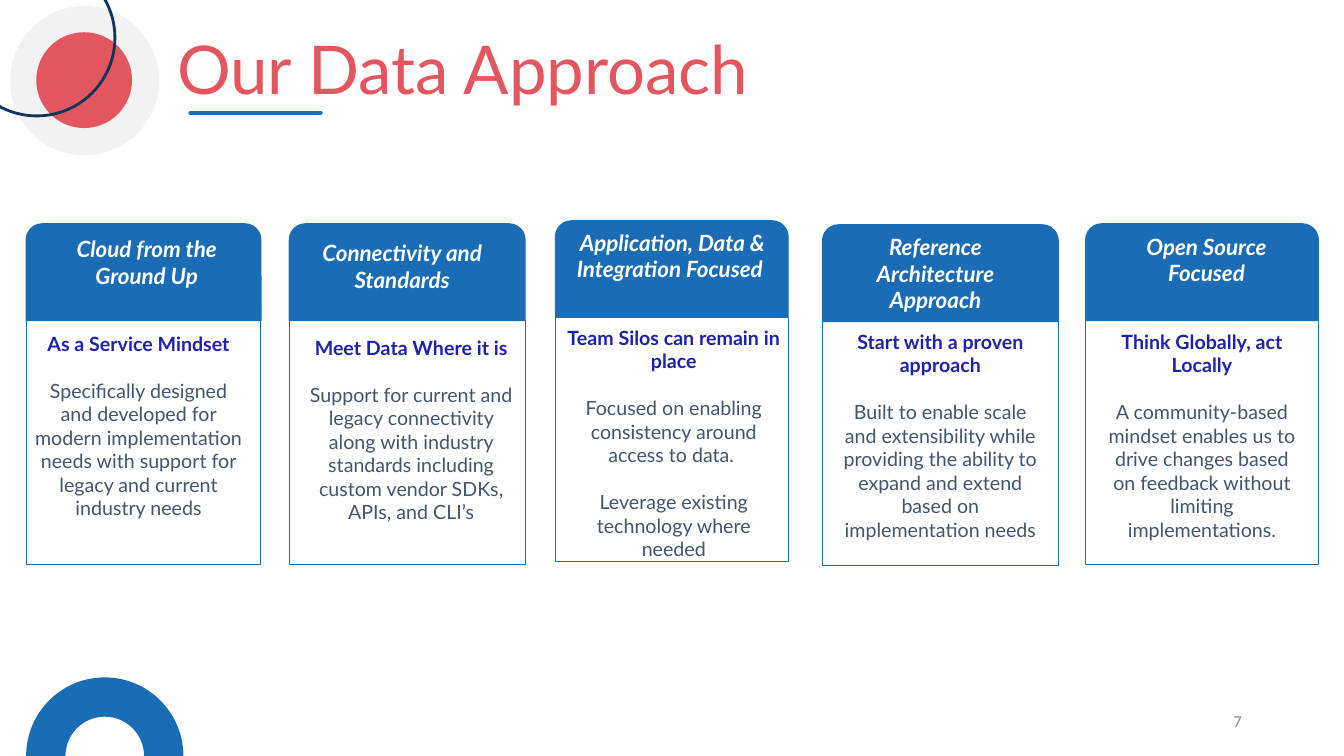
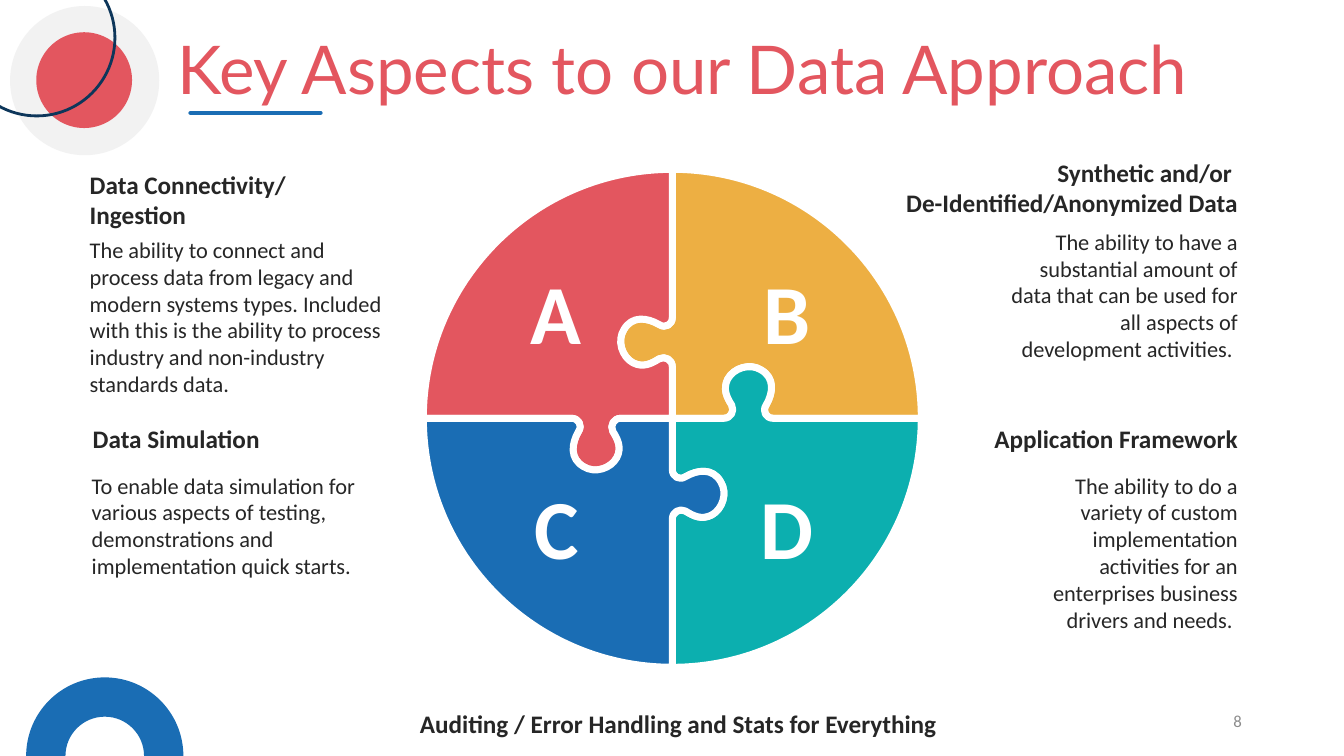
from dataclasses import dataclass
from math import cos, pi, sin
from typing import NamedTuple

from lxml.etree import SubElement
from pptx import Presentation
from pptx.dml.color import RGBColor
from pptx.enum.shapes import MSO_CONNECTOR, MSO_SHAPE
from pptx.enum.text import MSO_ANCHOR, PP_ALIGN
from pptx.oxml.ns import qn
from pptx.util import Inches, Pt

COLORS = {
    "blue": "1A6DB4", "red": "E3565F", "gold": "EDAF43", "teal": "0CAFAF",
    "navy": "0D365A", "pale": "F2F2F2", "white": "FFFFFF", "indigo": "1E22AA",
    "slate": "44546A", "ink": "262626", "gray": "8C8C8C",
}
STYLES = {
    "title": ({"name": "Lato", "size": Pt(48)}, "red"),
    "card heading": ({"name": "Lato", "size": Pt(16), "bold": True, "italic": True}, "white"),
    "card lead": ({"name": "Lato", "size": Pt(14), "bold": True}, "indigo"),
    "card body": ({"name": "Lato", "size": Pt(14)}, "slate"),
    "letter": ({"name": "Calibri", "size": Pt(60), "bold": True}, "white"),
    "aspect": ({"name": "Calibri", "size": Pt(18), "bold": True}, "ink"),
    "detail": ({"name": "Calibri", "size": Pt(16)}, "ink"),
    "page": ({"name": "Calibri", "size": Pt(12)}, "gray"),
}


class Box(NamedTuple):
    left: float
    top: float
    width: float
    height: float

    def lengths(self) -> list:
        return [Inches(value) for value in self]


class Point(NamedTuple):
    x: float
    y: float


class Line(NamedTuple):
    text: str
    style: str
    gap: float = 0


@dataclass
class Card:
    left: float
    top: float
    width: float
    heading: str
    heading_box: Box
    lead: str
    details: list[str]
    body_box: Box


@dataclass
class Seam:
    along: Point
    out: Point
    flipped: bool = False


@dataclass
class Piece:
    color: str
    first: int
    letter: str
    letter_at: Point


@dataclass
class Aspect:
    title: list[str]
    title_box: Box
    detail: str
    detail_box: Box
    align: PP_ALIGN


# Cards of the first slide
CARDS = [
    Card(0.26, 2.22, 2.33, "Cloud from the Ground Up", Box(0.65, 2.28, 1.61, 0.91),
         "As a Service Mindset",
         ["Specifically designed and developed for modern implementation needs "
          "with support for legacy and current industry needs"],
         Box(0.22, 3.24, 2.31, 1.99)),
    Card(2.87, 2.22, 2.34, "Connectivity and Standards", Box(3.07, 2.32, 1.84, 0.64),
         "Meet Data Where it is",
         ["Support for current and legacy connectivity along with industry "
          "standards including custom vendor SDKs, APIs, and CLI’s"],
         Box(2.95, 3.28, 2.26, 1.99)),
    Card(5.51, 2.19, 2.31, "Application, Data & Integration Focused ",
         Box(5.61, 2.22, 2.12, 0.91), "Team Silos can remain in place",
         ["Focused on enabling consistency around access to data. ",
          "Leverage existing technology where needed"],
         Box(5.48, 3.18, 2.41, 2.46)),
    Card(8.16, 2.23, 2.34, "Reference Architecture Approach", Box(8.49, 2.26, 1.58, 0.91),
         "Start with a proven approach",
         ["Built to enable scale and extensibility while providing the ability to "
          "expand and extend based on implementation needs"],
         Box(8.25, 3.22, 2.16, 2.22)),
    Card(10.77, 2.22, 2.31, "Open Source Focused", Box(11.01, 2.26, 1.92, 0.64),
         "Think Globally, act Locally",
         ["A community-based mindset enables us to drive changes based on feedback "
          "without limiting implementations."],
         Box(10.88, 3.22, 2.09, 2.22)),
]
CARD_HEAD, CARD_BODY = 0.96, 2.42

# Puzzle of the second slide: seams run north, east, south, west
CENTER, RADIUS = Point(6.67, 4.15), 2.47
SEAMS = [
    Seam(Point(0, -1), Point(-1, 0)),
    Seam(Point(1, 0), Point(0, -1)),
    Seam(Point(0, 1), Point(1, 0), flipped=True),
    Seam(Point(-1, 0), Point(0, 1)),
]
# Bezier knob: distance along the seam, distance out of it
KNOB_START, KNOB_END = 0.51, 1.0
KNOB = [
    (KNOB_START, 0), (0.58, 0), (0.62, 0.07), (0.59, 0.13),
    (0.54, 0.21), (0.5, 0.29), (0.55, 0.39), (0.61, 0.5), (0.77, 0.55), (0.88, 0.48),
    (1.02, 0.4), (1.0, 0.25), (0.93, 0.13), (0.89, 0.07), (0.93, 0), (KNOB_END, 0),
]
# Points used by each segment: 1 for a straight line, 3 for a curve
SEAM_STEPS = [1, 3, 3, 3, 3, 3, 1]
QUARTER_HANDLE = 0.5523
PIECES = [
    Piece("gold", 0, "B", Point(7.54, 2.77)),
    Piece("teal", 1, "D", Point(7.54, 4.91)),
    Piece("red", 3, "A", Point(5.25, 2.77)),
    Piece("blue", 2, "C", Point(5.25, 4.91)),
]
ASPECTS = [
    Aspect(["Data Connectivity/ Ingestion"], Box(0.89, 1.68, 2.51, 0.34),
           "The ability to connect and process data from legacy and modern systems types. "
           "Included with this is the ability to process industry and non-industry "
           "standards data.", Box(0.89, 2.34, 3.04, 0.71), PP_ALIGN.LEFT),
    Aspect(["Synthetic and/or ", "De-Identified/Anonymized Data"], Box(8.17, 1.56, 4.11, 0.32),
           "The ability to have a substantial amount of data that can be used for all "
           "aspects of development activities. ", Box(10.02, 2.26, 2.26, 0.71), PP_ALIGN.RIGHT),
    Aspect(["Data Simulation"], Box(0.92, 4.2, 2.26, 0.32),
           "To enable data simulation for various aspects of testing, demonstrations and "
           "implementation quick starts.", Box(0.91, 4.68, 2.63, 0.71), PP_ALIGN.LEFT),
    Aspect(["Application Framework"], Box(9.14, 4.2, 3.14, 0.32),
           "The ability to do a variety of custom implementation activities for an "
           "enterprises business drivers and needs. ", Box(10.24, 4.68, 2.04, 0.71),
           PP_ALIGN.RIGHT),
]


def rgb(name: str) -> RGBColor:
    return RGBColor.from_string(COLORS[name])


def paint(shape, fill: str = "", line: str = "", weight: float = 0) -> None:
    shape.shadow.inherit = False
    if fill:
        shape.fill.solid()
        shape.fill.fore_color.rgb = rgb(fill)
    else:
        shape.fill.background()
    if line:
        shape.line.color.rgb = rgb(line)
        shape.line.width = Pt(weight)
    else:
        shape.line.fill.background()


def add_preset(slide, kind, box: Box, **colors) -> None:
    paint(slide.shapes.add_shape(kind, *box.lengths()), **colors)


def add_outline(slide, points: list[Point], steps: list[int], **colors) -> None:
    corners = [(Inches(x), Inches(y)) for x, y in points]
    builder = slide.shapes.build_freeform(*corners[0], scale=1.0)
    builder.add_line_segments(corners[1:], close=True)
    shape = builder.convert_to_shape()
    # Merge each run of three line targets into one Bezier segment
    targets = iter(list(shape.element.spPr.iter(qn("a:lnTo"))))
    for step in steps:
        segment = next(targets)
        if step == 3:
            segment.tag = qn("a:cubicBezTo")
            for _ in range(2):
                target = next(targets)
                segment.append(target[0])
                target.getparent().remove(target)
    paint(shape, **colors)


def add_text(slide, box: Box, lines: list[Line], align=PP_ALIGN.LEFT,
             anchor=MSO_ANCHOR.TOP, inset: bool = True, wrap: bool = True) -> None:
    frame = slide.shapes.add_textbox(*box.lengths()).text_frame
    frame.word_wrap = wrap
    frame.vertical_anchor = anchor
    if not inset:
        for side in ("left", "top", "right", "bottom"):
            setattr(frame, f"margin_{side}", 0)
    for index, line in enumerate(lines):
        paragraph = frame.add_paragraph() if index else frame.paragraphs[0]
        paragraph.alignment = align
        if line.gap:
            paragraph.space_before = Pt(line.gap)
        run = paragraph.add_run()
        run.text = line.text
        font_values, color = STYLES[line.style]
        for attribute, value in font_values.items():
            setattr(run.font, attribute, value)
        run.font.color.rgb = rgb(color)


def quarter(center: Point, radius: float, start: float, turn: int = 1) -> list[Point]:
    """Start, two handles and end of a quarter circle."""
    end, handle = start + turn * pi / 2, turn * QUARTER_HANDLE
    offsets = [
        (cos(start), sin(start)),
        (cos(start) - handle * sin(start), sin(start) + handle * cos(start)),
        (cos(end) + handle * sin(end), sin(end) - handle * cos(end)),
        (cos(end), sin(end)),
    ]
    return [Point(center.x + radius * x, center.y + radius * y) for x, y in offsets]


def seam_points(seam: Seam) -> list[Point]:
    knob = KNOB
    if seam.flipped:
        knob = [(KNOB_START + KNOB_END - d, out) for d, out in reversed(KNOB)]
    return [Point(CENTER.x + d * seam.along.x + out * seam.out.x,
                  CENTER.y + d * seam.along.y + out * seam.out.y)
            for d, out in [(0, 0), *knob, (RADIUS, 0)]]


def add_base(deck, title: str, title_width: float, page: int):
    slide = deck.slides.add_slide(deck.slide_layouts[6])
    # Title and its rule
    add_text(slide, Box(1.66, 0.22, title_width, 0.91), [Line(title, "title")], wrap=False)
    rule = slide.shapes.add_connector(MSO_CONNECTOR.STRAIGHT, Inches(1.89), Inches(1.12),
                                      Inches(3.18), Inches(1.12))
    rule.line.color.rgb = rgb("blue")
    rule.line.width = Pt(3)
    properties = rule.element.spPr
    properties.find(qn("a:ln")).set("cap", "rnd")
    SubElement(properties, qn("a:effectLst"))
    # Corner ornaments
    hub = Point(1.04, 7.5)
    half_ring = [*quarter(hub, 0.78, pi), *quarter(hub, 0.78, 1.5 * pi)[1:],
                 *quarter(hub, 0.39, 2 * pi, -1), *quarter(hub, 0.39, 1.5 * pi, -1)[1:]]
    add_outline(slide, half_ring, [3, 3, 1, 3, 3], fill="blue")
    add_preset(slide, MSO_SHAPE.OVAL, Box(0.1, 0.06, 1.48, 1.48), fill="pale")
    add_preset(slide, MSO_SHAPE.OVAL, Box(0.36, 0.32, 0.95, 0.95), fill="red")
    add_preset(slide, MSO_SHAPE.OVAL, Box(-0.41, -0.4, 1.55, 1.55), line="navy", weight=2)
    # Page number
    add_text(slide, Box(9.42, 6.95, 3, 0.4), [Line(str(page), "page")],
             PP_ALIGN.RIGHT, MSO_ANCHOR.MIDDLE)
    return slide


def add_card(slide, card: Card) -> None:
    border = {"line": "blue", "weight": 0.75}
    add_preset(slide, MSO_SHAPE.ROUND_2_SAME_RECTANGLE,
               Box(card.left, card.top, card.width, CARD_HEAD), fill="blue", **border)
    add_preset(slide, MSO_SHAPE.RECTANGLE,
               Box(card.left, card.top + CARD_HEAD, card.width, CARD_BODY), **border)
    add_text(slide, card.heading_box, [Line(card.heading, "card heading")], PP_ALIGN.CENTER)
    details = [Line(detail, "card body", 16.8) for detail in card.details]
    add_text(slide, card.body_box, [Line(card.lead, "card lead"), *details], PP_ALIGN.CENTER)


def add_piece(slide, piece: Piece) -> None:
    rim = quarter(CENTER, RADIUS, (piece.first - 1) * pi / 2)
    next_seam = SEAMS[(piece.first + 1) % len(SEAMS)]
    outline = seam_points(SEAMS[piece.first]) + rim[1:3] + seam_points(next_seam)[::-1]
    add_outline(slide, outline, [*SEAM_STEPS, 3, *SEAM_STEPS],
                fill=piece.color, line="white", weight=5)


def main() -> None:
    deck = Presentation()
    deck.slide_width, deck.slide_height = Inches(40 / 3), Inches(7.5)

    approach = add_base(deck, "Our Data Approach", 6.16, 7)
    for card in CARDS:
        add_card(approach, card)

    aspects = add_base(deck, "Key Aspects to our Data Approach", 10.52, 8)
    for piece in PIECES:
        add_piece(aspects, piece)
    for piece in PIECES:
        add_text(aspects, Box(*piece.letter_at, 0.54, 0.62), [Line(piece.letter, "letter")],
                 PP_ALIGN.CENTER, MSO_ANCHOR.MIDDLE, inset=False)
    for aspect in ASPECTS:
        add_text(aspects, aspect.title_box, [Line(text, "aspect") for text in aspect.title],
                 aspect.align, inset=False)
        add_text(aspects, aspect.detail_box, [Line(aspect.detail, "detail")],
                 aspect.align, inset=False)
    add_text(aspects, Box(3.92, 7.03, 5.62, 0.34),
             [Line("Auditing / Error Handling and Stats for Everything", "aspect")],
             PP_ALIGN.CENTER, inset=False)

    deck.save("out.pptx")


if __name__ == "__main__":
    main()
